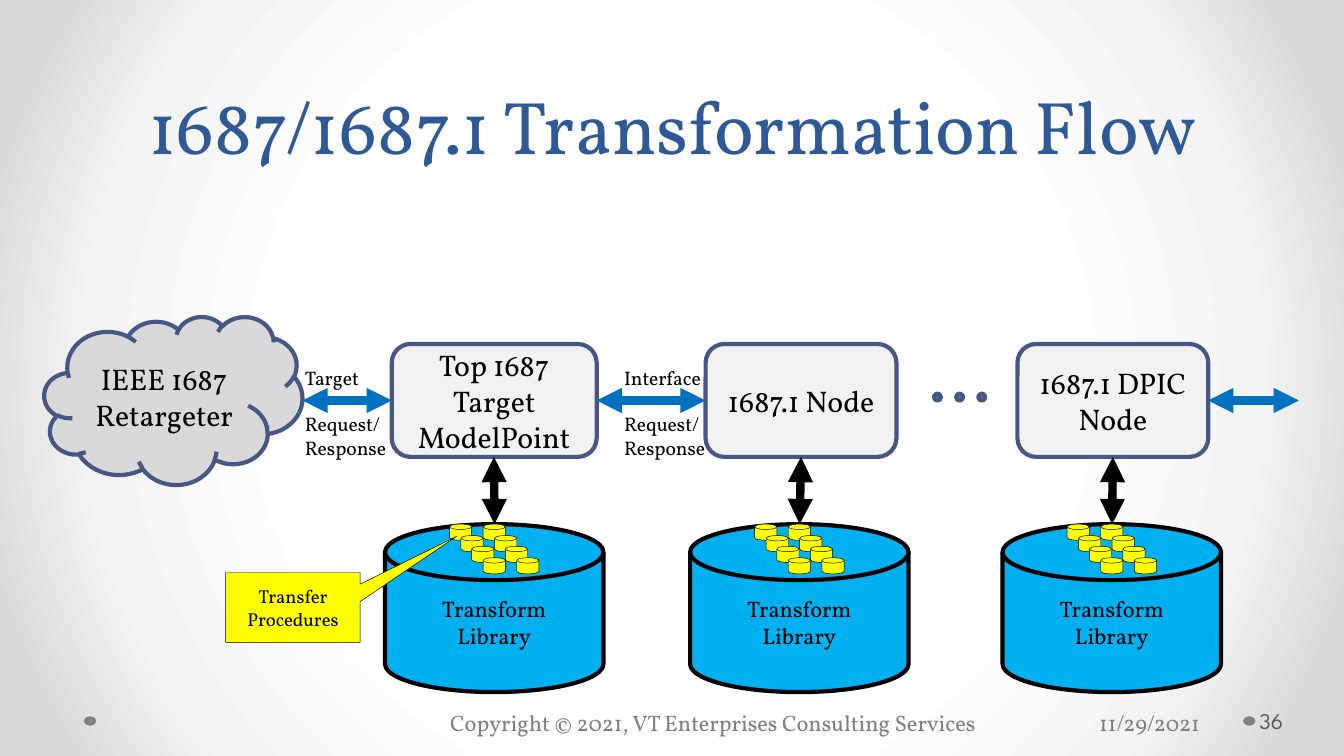
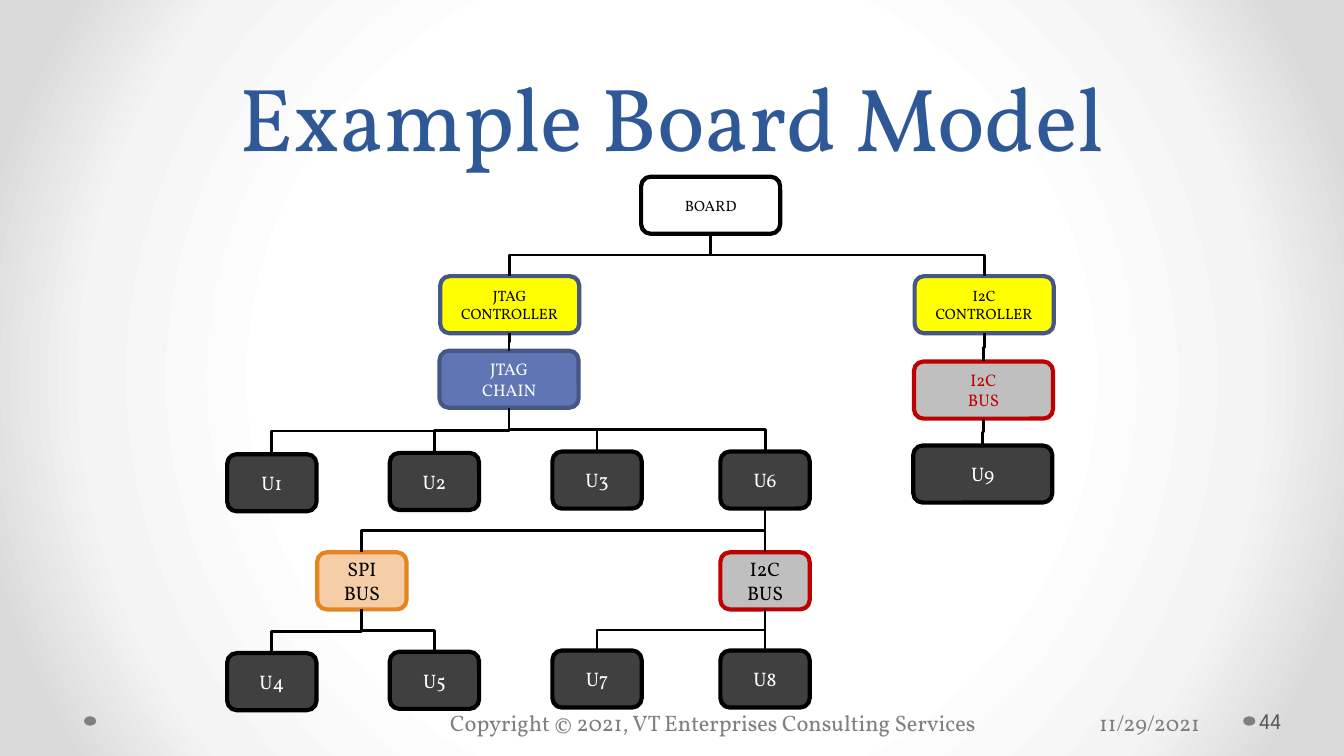
from copy import deepcopy
from dataclasses import dataclass

from pptx import Presentation
from pptx.dml.color import RGBColor
from pptx.enum.shapes import MSO_CONNECTOR as Link, MSO_SHAPE as Kind
from pptx.enum.text import MSO_ANCHOR as Anchor, PP_ALIGN as Align
from pptx.oxml import parse_xml
from pptx.oxml.ns import nsdecls, qn
from pptx.shapes.autoshape import Shape
from pptx.shapes.connector import Connector
from pptx.slide import Slide
from pptx.text.text import TextFrame
from pptx.util import Pt

PX = 4572
PAGE_WIDTH, PAGE_HEIGHT = 2000, 1125
BODY_FONT = "Vollkorn"
NUMBER_FONT = "League Spartan"
COLORS = {
    "title": "2F5897",
    "footer": "808080",
    "number": "595959",
    "black": "000000",
    "white": "FFFFFF",
    "edge": "475785",
    "accent": "6076B4",
    "cloud": "D9D9D9",
    "panel": "F2F2F2",
    "flow": "0070C0",
    "library": "00B0F0",
    "yellow": "FFFF00",
    "chip": "404040",
    "bus": "BFBFBF",
    "red": "C00000",
    "peach": "F5CEA7",
    "orange": "E68422",
}
BACKDROP = {50: "FFFFFF", 76: "F4F4F4", 92: "DADADA"}


@dataclass(frozen=True)
class Station:
    text: str
    left: int
    width: int
    library_left: int


@dataclass(frozen=True)
class Style:
    fill: str
    line: str
    text: str


@dataclass(frozen=True)
class Node:
    key: str
    text: str
    left: int
    top: int
    width: int
    style: str
    size: float
    parent: str = ""


STATIONS = [
    Station("Top 1687 Target ModelPoint", 583, 305, 573),
    Station("1687.1 Node", 1050, 284, 1027),
    Station("1687.1 DPIC Node", 1514, 284, 1492),
]
FLOW_ARROWS = [(450, 583), (888, 1050), (1798, 1933)]
FLOW_LABELS = [
    (434, "Target\n\nRequest/\nResponse"),
    (909, "Interface\n\nRequest/\nResponse"),
]
STATION_TOP, STATION_HEIGHT = 512, 168
LIBRARY_TOP = 780

STYLES = {
    "board": Style("white", "black", "black"),
    "controller": Style("yellow", "edge", "black"),
    "chain": Style("accent", "edge", "white"),
    "red bus": Style("bus", "red", "red"),
    "bus": Style("bus", "red", "black"),
    "spi": Style("peach", "orange", "black"),
    "chip": Style("chip", "black", "white"),
}
WIDE, NARROW, NODE_HEIGHT = 207, 133, 85
NODES = [
    Node("jtag", "JTAG\nCONTROLLER", 655, 411, WIDE, "controller", 8, "board"),
    Node("i2c", "I2C\nCONTROLLER", 1361, 411, WIDE, "controller", 8, "board"),
    Node("i2c bus", "I2C\nBUS", 1360, 538, WIDE, "red bus", 9, "i2c"),
    Node("u9", "U9", 1359, 663, WIDE, "chip", 10.5, "i2c bus"),
    Node("chain", "JTAG\nCHAIN", 654, 522, WIDE, "chain", 9, "jtag"),
    Node("u1", "U1", 338, 676, NARROW, "chip", 10.5, "chain"),
    Node("u2", "U2", 580, 674, NARROW, "chip", 10.5, "chain"),
    Node("u3", "U3", 822, 672, NARROW, "chip", 10.5, "chain"),
    Node("u6", "U6", 1072, 672, NARROW, "chip", 10.5, "chain"),
    Node("u4", "U4", 338, 972, NARROW, "chip", 10.5, "spi"),
    Node("u5", "U5", 580, 970, NARROW, "chip", 10.5, "spi"),
    Node("u7", "U7", 822, 968, NARROW, "chip", 10.5, "u6 bus"),
    Node("u8", "U8", 1072, 968, NARROW, "chip", 10.5, "u6 bus"),
    Node("spi", "SPI\nBUS", 472, 822, NARROW, "spi", 10.5, "u6"),
    Node("u6 bus", "I2C\nBUS", 1072, 822, NARROW, "bus", 10.5, "u6"),
    Node("board", "BOARD", 954, 263, WIDE, "board", 8),
]


def rgb(name: str) -> RGBColor:
    return RGBColor.from_string(COLORS[name])


def write(frame: TextFrame, text: str, *, size: float, color: str = "black",
          font: str = BODY_FONT, align: Align = Align.LEFT,
          anchor: Anchor = Anchor.TOP, leading: int = 0, gap: int = 12) -> None:
    frame.word_wrap = True
    frame.vertical_anchor = anchor
    for index, part in enumerate(text.split("\n\n")):
        para = frame.add_paragraph() if index else frame.paragraphs[0]
        para.text = part
        para.alignment = align
        if index:
            para.space_before = Pt(gap)
        if leading:
            para.line_spacing = Pt(leading)
        for span in para.runs:
            span.font.name = font
            span.font.size = Pt(size)
            span.font.color.rgb = rgb(color)
        for line_break in para._p.findall(qn("a:br")):
            line_break.append(deepcopy(para.runs[0]._r.rPr))


def add_label(page: Slide, text: str, left: int, top: int, width: int,
              height: int, **text_format) -> Shape:
    box = page.shapes.add_textbox(left * PX, top * PX, width * PX, height * PX)
    write(box.text_frame, text, **text_format)
    return box


def add_block(shapes, kind: Kind, left: int, top: int, width: int, height: int,
              *, fill: str, line: str = "", weight: float = 2.25,
              text: str = "", size: float = 12, color: str = "black") -> Shape:
    block = shapes.add_shape(kind, left * PX, top * PX, width * PX, height * PX)
    block.shadow.inherit = False
    block.fill.solid()
    block.fill.fore_color.rgb = rgb(fill)
    if line:
        block.line.color.rgb = rgb(line)
        block.line.width = Pt(weight)
    else:
        block.line.fill.background()
    if text:
        write(block.text_frame, text, size=size, color=color,
              align=Align.CENTER, anchor=Anchor.MIDDLE)
    return block


def add_link(page: Slide, kind: Link, start: tuple[int, int],
             end: tuple[int, int], color: str, weight: float) -> Connector:
    link = page.shapes.add_connector(kind, *(value * PX for value in start + end))
    link.line.color.rgb = rgb(color)
    link.line.width = Pt(weight)
    link._element.spPr.append(parse_xml(f"<a:effectLst {nsdecls('a')}/>"))
    return link


def add_double_arrow(page: Slide, start: tuple[int, int],
                     end: tuple[int, int], color: str) -> None:
    arrow = add_link(page, Link.STRAIGHT, start, end, color, 4.5)
    outline = arrow.line._get_or_add_ln()
    for tag in ("headEnd", "tailEnd"):
        outline.append(parse_xml(f'<a:{tag} {nsdecls("a")} type="triangle"/>'))


def add_branch(page: Slide, parent: Shape, child: Shape) -> None:
    branch = add_link(page, Link.ELBOW, (0, 0), (0, 0), "black", 1.5)
    branch.begin_connect(parent, 2)
    branch.end_connect(child, 0)
    start_x = parent.left + parent.width // 2
    start_y = parent.top + parent.height
    end_x = child.left + child.width // 2
    drop, shift = child.top - start_y, abs(end_x - start_x)
    frame = branch._element.spPr.find(qn("a:xfrm"))
    frame.attrib.clear()
    if end_x > start_x:
        frame.set("rot", "16200000")
        frame.set("flipH", "1")
    else:
        frame.set("rot", "5400000")
    branch.left = (start_x + end_x - drop) // 2
    branch.top = (start_y + child.top - shift) // 2
    branch.width, branch.height = drop, shift


def paint_backdrop(deck: Presentation) -> None:
    master = deck.slide_master
    master.background.fill.solid()
    holder = master._element.find(".//" + qn("p:bgPr"))
    stops = "".join(
        f'<a:gs pos="{place * 1000}"><a:srgbClr val="{color}"/></a:gs>'
        for place, color in BACKDROP.items())
    holder.replace(holder[0], parse_xml(
        f'<a:gradFill {nsdecls("a")} rotWithShape="1"><a:gsLst>{stops}</a:gsLst>'
        '<a:path path="circle"><a:fillToRect l="50000" t="50000" r="50000"'
        ' b="50000"/></a:path></a:gradFill>'))


def add_page(deck: Presentation, title: str, title_size: int, number: int) -> Slide:
    page = deck.slides.add_slide(deck.slide_layouts[6])
    for left in (1850, 125):
        add_block(page.shapes, Kind.OVAL, left, 1066, 18, 14, fill="footer")
    add_label(page, "Copyright © 2021, VT Enterprises Consulting Services",
              650, 1046, 850, 60, size=12, color="footer")
    add_label(page, title, 100, 0, 1800, 262, size=title_size, color="title",
              align=Align.CENTER, anchor=Anchor.BOTTOM, leading=58)
    number_box = add_label(page, str(number), 1868, 1043, 122, 60, size=12,
                           color="number", font=NUMBER_FONT, anchor=Anchor.MIDDLE)
    number_box.text_frame.margin_left = 6 * PX
    number_box.text_frame.margin_right = 10 * PX
    add_label(page, "11/29/2021", 1616, 1046, 232, 56, size=12, color="footer")
    return page


def add_station(page: Slide, station: Station) -> None:
    add_block(page.shapes, Kind.ROUNDED_RECTANGLE, station.left, STATION_TOP,
              station.width, STATION_HEIGHT, fill="panel", line="edge",
              text=station.text, size=16)
    add_block(page.shapes, Kind.FLOWCHART_MAGNETIC_DISK, station.library_left,
              LIBRARY_TOP, 325, 250, fill="library", line="black",
              text="Transform\nLibrary")
    add_double_arrow(
        page,
        (station.left + station.width // 2, STATION_TOP + STATION_HEIGHT),
        (station.library_left + 163, LIBRARY_TOP), "black")
    procedures = page.shapes.add_group_shape()
    for column in range(2):
        for row in range(4):
            step = round(row * 50 / 3)
            add_block(procedures.shapes, Kind.FLOWCHART_MAGNETIC_DISK,
                      station.library_left + 96 + column * 50 + step,
                      LIBRARY_TOP + step, 33, 24, fill="yellow", line="black",
                      weight=0.25)


def build_flow(deck: Presentation) -> None:
    page = add_page(deck, "1687/1687.1 Transformation Flow", 40, 36)
    add_block(page.shapes, Kind.CLOUD, 66, 471, 384, 250, fill="cloud",
              line="edge", text="IEEE 1687\nRetargeter", size=16)
    for station in STATIONS:
        add_station(page, station)
    for start, end in FLOW_ARROWS:
        add_double_arrow(page, (start, 596), (end, 596), "flow")
    callout = add_block(page.shapes, Kind.RECTANGULAR_CALLOUT, 336, 852, 200, 104,
                        fill="yellow", line="black", weight=0.25,
                        text="Transfer\nProcedures", size=10)
    callout.adjustments[0] = 1.22
    callout.adjustments[1] = -1.02
    for left, text in FLOW_LABELS:
        add_label(page, text, left, 535, 166, 162, size=10.5)
    ellipsis = page.shapes.add_group_shape()
    for index in range(3):
        add_block(ellipsis.shapes, Kind.OVAL, 1390 + index * 33, 586, 10, 10,
                  fill="accent", line="edge")


def build_board(deck: Presentation) -> None:
    page = add_page(deck, "Example Board Model", 48, 44)
    blocks: dict[str, Shape] = {}
    for node in NODES:
        style = STYLES[node.style]
        blocks[node.key] = add_block(
            page.shapes, Kind.ROUNDED_RECTANGLE, node.left, node.top, node.width,
            NODE_HEIGHT, fill=style.fill, line=style.line, text=node.text,
            size=node.size, color=style.text)
    for node in NODES:
        if node.parent:
            add_branch(page, blocks[node.parent], blocks[node.key])


def main() -> None:
    deck = Presentation()
    deck.slide_width, deck.slide_height = PAGE_WIDTH * PX, PAGE_HEIGHT * PX
    paint_backdrop(deck)
    build_flow(deck)
    build_board(deck)
    deck.save("out.pptx")


if __name__ == "__main__":
    main()
